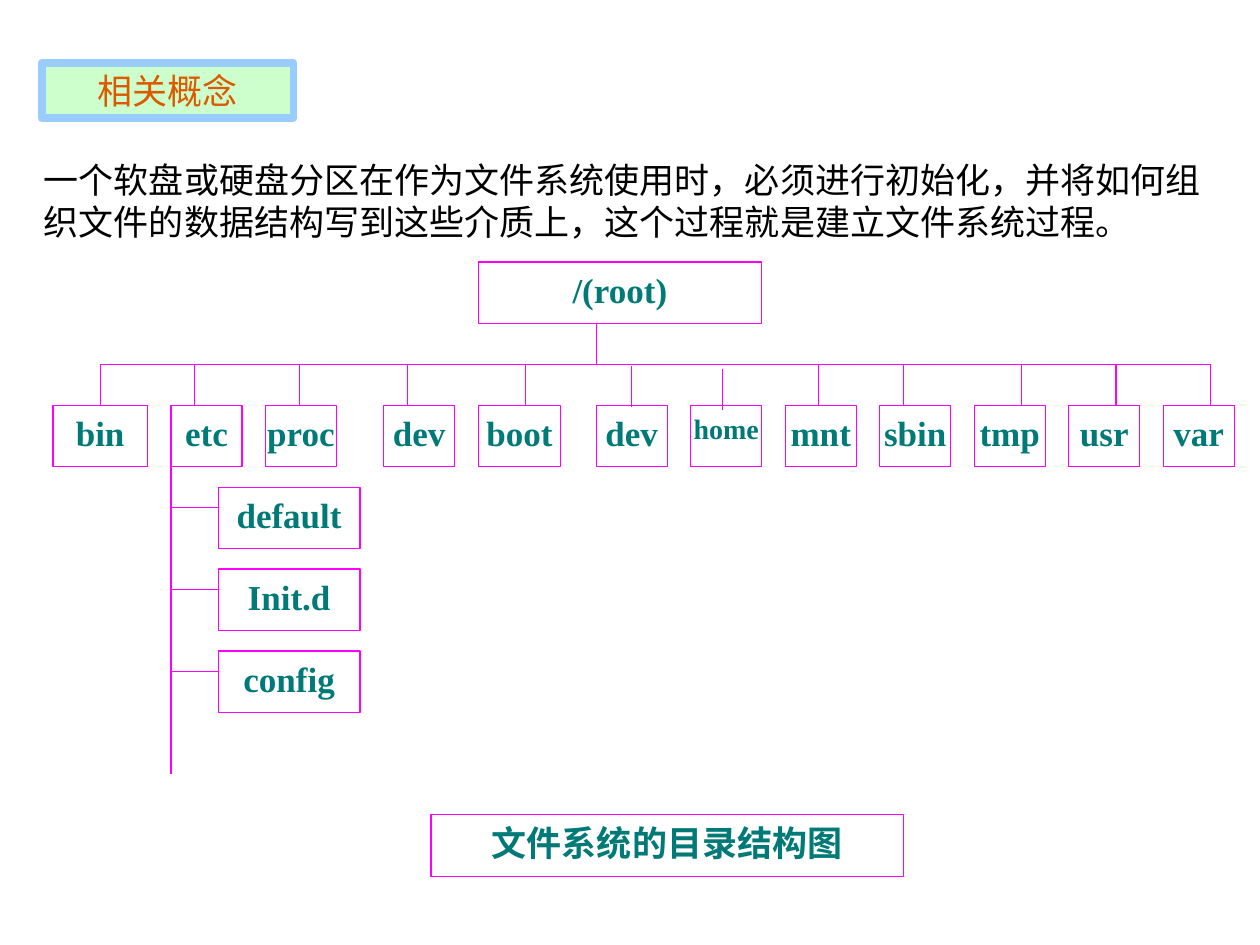
import pptx
import pptx.dml.color
import pptx.enum.shapes
import pptx.enum.text
import pptx.util
from lxml import etree
from pptx.oxml.ns import qn

ALIGN = pptx.enum.text.PP_ALIGN
ANCHOR = pptx.enum.text.MSO_ANCHOR
CJK = "Noto Sans CJK SC"
LATIN = "Times New Roman"

INTRO = ("一个软盘或硬盘分区在作为文件系统使用时，必须进行初始化，并将如何组织文件的"
         "数据结构写到这些介质上，这个过程就是建立文件系统过程。")

# name, box column, box width, column of its drop line, row shift of that line, text size
FOLDERS = [
    ("bin", 0, 4, 2, 0, 20),
    ("etc", 5, 3, 6, 0, 20),
    ("proc", 9, 3, 10.43, 0, 20),
    ("dev", 14, 3, 15, 0, 20),
    ("boot", 18, 3.5, 20, 0, 20),
    ("dev", 23, 3, 24.5, 0.1, 20),
    ("home", 27, 3, 28.35, 0.2, 16),
    ("mnt", 31, 3, 32.4, 0, 20),
    ("sbin", 35, 3, 36, 0, 20),
    ("tmp", 39, 3, 41, 0, 20),
    ("usr", 43, 3, 45, 0, 20),
    ("var", 47, 3, 49, 0, 20),
]
ETC_FOLDERS = ["default", "Init.d", "config"]

BOX_ROWS = 3
BUS_ROW, FOLDER_ROW = 5, 7
ETC_COL, ETC_CHILD_COL = 5, 7


def rgb(value):
    return pptx.dml.color.RGBColor.from_string(value)


def inches(*values):
    return [pptx.util.Inches(v) for v in values]


class TreeSlide:
    """Style and slide; the tree is placed in columns and rows of a fine grid."""
    left, top = 0.42, 2.08
    col, row = 3 / 16, 13 / 80
    line_color, text_color = "FF00FF", "007A77"
    line_width = 0.75

    def __init__(self, prs):
        self.s = prs.slides.add_slide(prs.slide_layouts[5])

    def point(self, col, row):
        return inches(self.left + col * self.col, self.top + row * self.row)

    def outline(self, line, color, width):
        line.color.rgb = rgb(color)
        line.width = pptx.util.Pt(width)

    def set_text(self, sp, text, font, color, margins, size=20, bold=False,
                 wrap=True, align=ALIGN.CENTER, anchor=ANCHOR.TOP):
        tf = sp.text_frame
        frame = {"word_wrap": wrap, "vertical_anchor": anchor,
                 "auto_size": pptx.enum.text.MSO_AUTO_SIZE.NONE}
        for side, margin in zip(("left", "top", "right", "bottom"), inches(*margins)):
            frame["margin_" + side] = margin
        for name, value in frame.items():
            setattr(tf, name, value)
        p = tf.paragraphs[0]
        p.alignment = align
        r = p.add_run()
        r.text = text
        for name, value in {"name": font, "size": pptx.util.Pt(size), "bold": bold}.items():
            setattr(r.font, name, value)
        r.font.color.rgb = rgb(color)
        r.font._element.find(qn("a:latin")).addnext(
            etree.Element(qn("a:ea"), typeface=CJK))
        return p

    def title(self, text):
        sp = self.s.shapes.title
        sp.left, sp.top, sp.width, sp.height = inches(0.33, 0.5, 2, 0.44)
        sp.fill.solid()
        sp.fill.fore_color.rgb = rgb("CCFFCC")
        self.outline(sp.line, "99CCFF", 4.5)
        self.set_text(sp, text, "Arial", "DC5900", (0.1, 0.05, 0.1, 0.05))

    def body(self, text):
        sp = self.s.shapes.add_textbox(*inches(0.25, 0.75, 9.5, 1.22))
        p = self.set_text(sp, text, CJK, "000000", (0.1, 0.14, 0.1, 0.05),
                          align=ALIGN.LEFT, anchor=ANCHOR.BOTTOM)
        p.line_spacing = pptx.util.Pt(24)

    def box(self, text, col, row, cols, size=20):
        sp = self.s.shapes.add_shape(
            pptx.enum.shapes.MSO_SHAPE.RECTANGLE, *self.point(col, row),
            *inches(cols * self.col, BOX_ROWS * self.row))
        sp.shadow.inherit = False
        sp.fill.background()
        self.outline(sp.line, self.line_color, self.line_width)
        self.set_text(sp, text, LATIN, self.text_color, (0, 0.05, 0, 0.05),
                      size, bold=True, wrap=False)

    def line(self, start, end):
        c = self.s.shapes.add_connector(
            pptx.enum.shapes.MSO_CONNECTOR.STRAIGHT, *self.point(*start), *self.point(*end))
        self.outline(c.line, self.line_color, self.line_width)
        etree.SubElement(c._element.spPr, qn("a:effectLst"))


def main():
    prs = pptx.Presentation()
    prs.slide_width, prs.slide_height = inches(10, 7.5)
    slide = TreeSlide(prs)
    slide.title("相关概念")
    slide.body(INTRO)

    slide.box("/(root)", 18, 0, 12)
    slide.line((23, BOX_ROWS), (23, BUS_ROW))
    slide.line((FOLDERS[0][3], BUS_ROW), (FOLDERS[-1][3], BUS_ROW))
    for name, col, cols, drop, shift, size in FOLDERS:
        slide.line((drop, BUS_ROW + shift), (drop, FOLDER_ROW + shift))
        slide.box(name, col, FOLDER_ROW, cols, size)

    slide.line((ETC_COL, FOLDER_ROW + BOX_ROWS), (ETC_COL, 25))
    for i, name in enumerate(ETC_FOLDERS):
        row = 11 + 4 * i
        slide.line((ETC_COL, row + 1), (ETC_CHILD_COL, row + 1))
        slide.box(name, ETC_CHILD_COL, row, 6)

    slide.box("文件系统的目录结构图", 16, 27, 20)
    prs.save("out.pptx")


if __name__ == "__main__":
    main()
